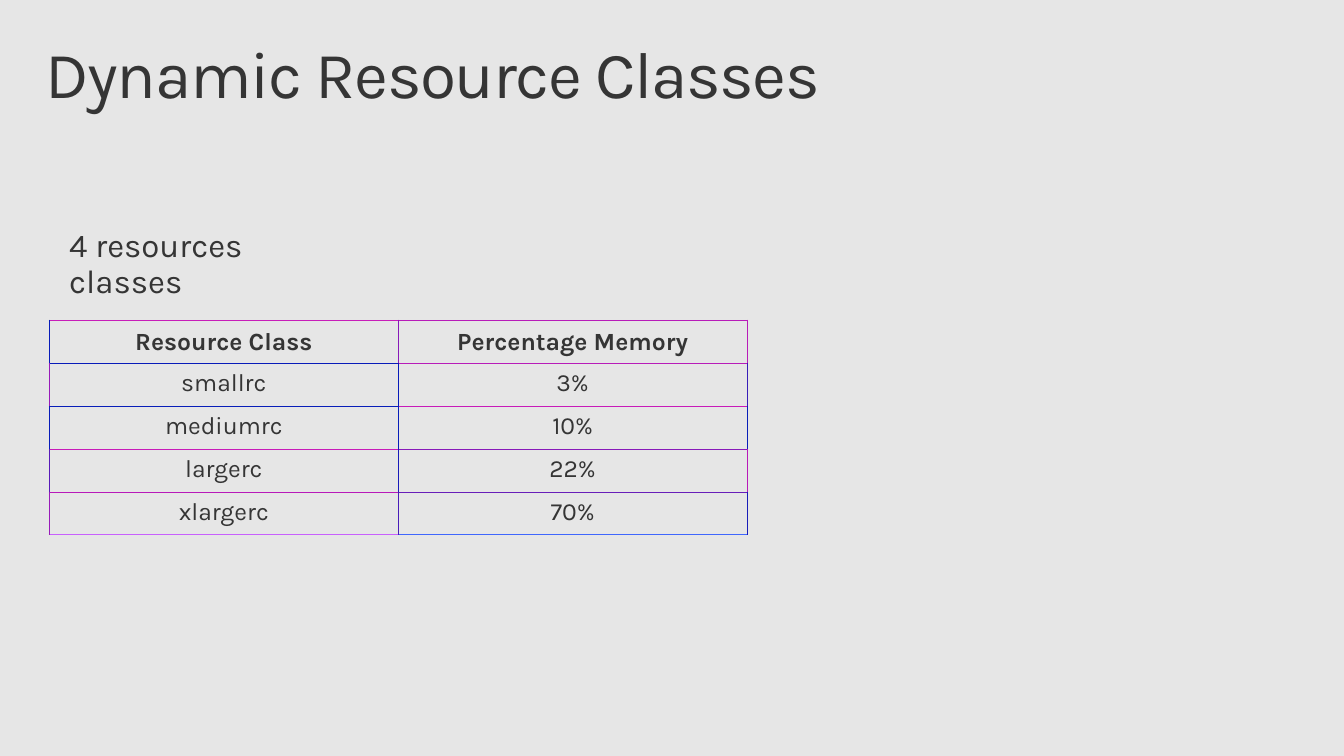
from lxml.etree import SubElement
from pptx import Presentation
from pptx.dml.color import RGBColor
from pptx.enum.text import MSO_ANCHOR, PP_ALIGN
from pptx.oxml.ns import qn
from pptx.util import Inches, Pt

COLORS = {"background": "E6E6E6", "text": "353535"}
FONT = "Karla"
RESOURCE_CLASSES = [
    ("Resource Class", "Percentage Memory"),
    ("smallrc", "3%"),
    ("mediumrc", "10%"),
    ("largerc", "22%"),
    ("xlargerc", "70%"),
]
# Colours of the table rules: horizontal ones from top to bottom, one per column;
# vertical ones from left to right within each row.
HORIZONTAL_RULES = [
    ("C81EB9", "B81CB9"),
    ("081BB9", "B81CB9"),
    ("081EB9", "C81BB9"),
    ("C81BB9", "8819B9"),
    ("B819B9", "681EB9"),
    ("C861FD", "4067FD"),
]
VERTICAL_RULES = [
    ("081BB9", "8819B9", "B81CB9"),
    ("981BB9", "081BB9", "381EB9"),
    ("081BB9", "081EB9", "081EB9"),
    ("5819B9", "181AB9", "B819B9"),
    ("981BB9", "481DB9", "181DB9"),
]
OUTER_WIDTH, INNER_WIDTH = 1, 0.38


def style_font(font, size, bold=False):
    font.name = FONT
    font.size = Pt(size)
    font.bold = bold
    font.color.rgb = RGBColor.from_string(COLORS["text"])


def add_text(slide, box, text, size, inset_x, inset_y):
    shape = slide.shapes.add_textbox(*(Inches(length) for length in box))
    frame = shape.text_frame
    frame.word_wrap = True
    frame.vertical_anchor = MSO_ANCHOR.TOP
    frame.margin_left = frame.margin_right = Inches(inset_x)
    frame.margin_top = frame.margin_bottom = Inches(inset_y)
    paragraph = frame.paragraphs[0]
    paragraph.text = text
    paragraph.line_spacing = 0.9
    style_font(paragraph.font, size)
    return paragraph


def add_title(slide, box):
    paragraph = add_text(slide, box, "Dynamic Resource Classes", 48, 0.16, 0.1)
    paragraph.runs[0].font._element.set("spc", "-100")


def add_subtitle(slide, box):
    paragraph = add_text(slide, box, "4 resources classes", 24, 0.2, 0.16)
    paragraph.space_after = Pt(6)


def add_border(cell, side, color, width):
    line = SubElement(cell._tc.get_or_add_tcPr(), qn(f"a:{side}"), w=str(Pt(width)))
    fill = SubElement(line, qn("a:solidFill"))
    SubElement(fill, qn("a:srgbClr"), val=color)


def add_borders(cell, row, column):
    last_row = len(RESOURCE_CLASSES) - 1
    top_width = OUTER_WIDTH if row == 0 else INNER_WIDTH
    bottom_width = OUTER_WIDTH if row == last_row else INNER_WIDTH
    add_border(cell, "lnL", VERTICAL_RULES[row][column], OUTER_WIDTH)
    add_border(cell, "lnR", VERTICAL_RULES[row][column + 1], OUTER_WIDTH)
    add_border(cell, "lnT", HORIZONTAL_RULES[row][column], top_width)
    add_border(cell, "lnB", HORIZONTAL_RULES[row + 1][column], bottom_width)


def add_class_table(slide, box):
    rows, columns = len(RESOURCE_CLASSES), len(RESOURCE_CLASSES[0])
    frame = slide.shapes.add_table(rows, columns, *(Inches(length) for length in box))
    table = frame.table
    table.horz_banding = False
    for row, values in enumerate(RESOURCE_CLASSES):
        for column, value in enumerate(values):
            cell = table.cell(row, column)
            cell.margin_left = cell.margin_right = Inches(0.08)
            cell.margin_top = cell.margin_bottom = Inches(0.06)
            cell.vertical_anchor = MSO_ANCHOR.BOTTOM if row == 0 else MSO_ANCHOR.TOP
            paragraph = cell.text_frame.paragraphs[0]
            paragraph.text = value
            paragraph.alignment = PP_ALIGN.CENTER
            style_font(paragraph.font, 18, bold=row == 0)
            add_borders(cell, row, column)
            cell.fill.background()


def main():
    presentation = Presentation()
    presentation.slide_width = Inches(13.6)
    presentation.slide_height = Inches(7.65)
    slide = presentation.slides.add_slide(presentation.slide_layouts[6])
    background = slide.background.fill
    background.solid()
    background.fore_color.rgb = RGBColor.from_string(COLORS["background"])
    add_title(slide, (0.3, 0.32, 13, 1))
    add_class_table(slide, (0.5, 3.24, 7.06, 2.17))
    add_subtitle(slide, (0.5, 2.16, 3.12, 0.69))
    presentation.save("out.pptx")


if __name__ == "__main__":
    main()
